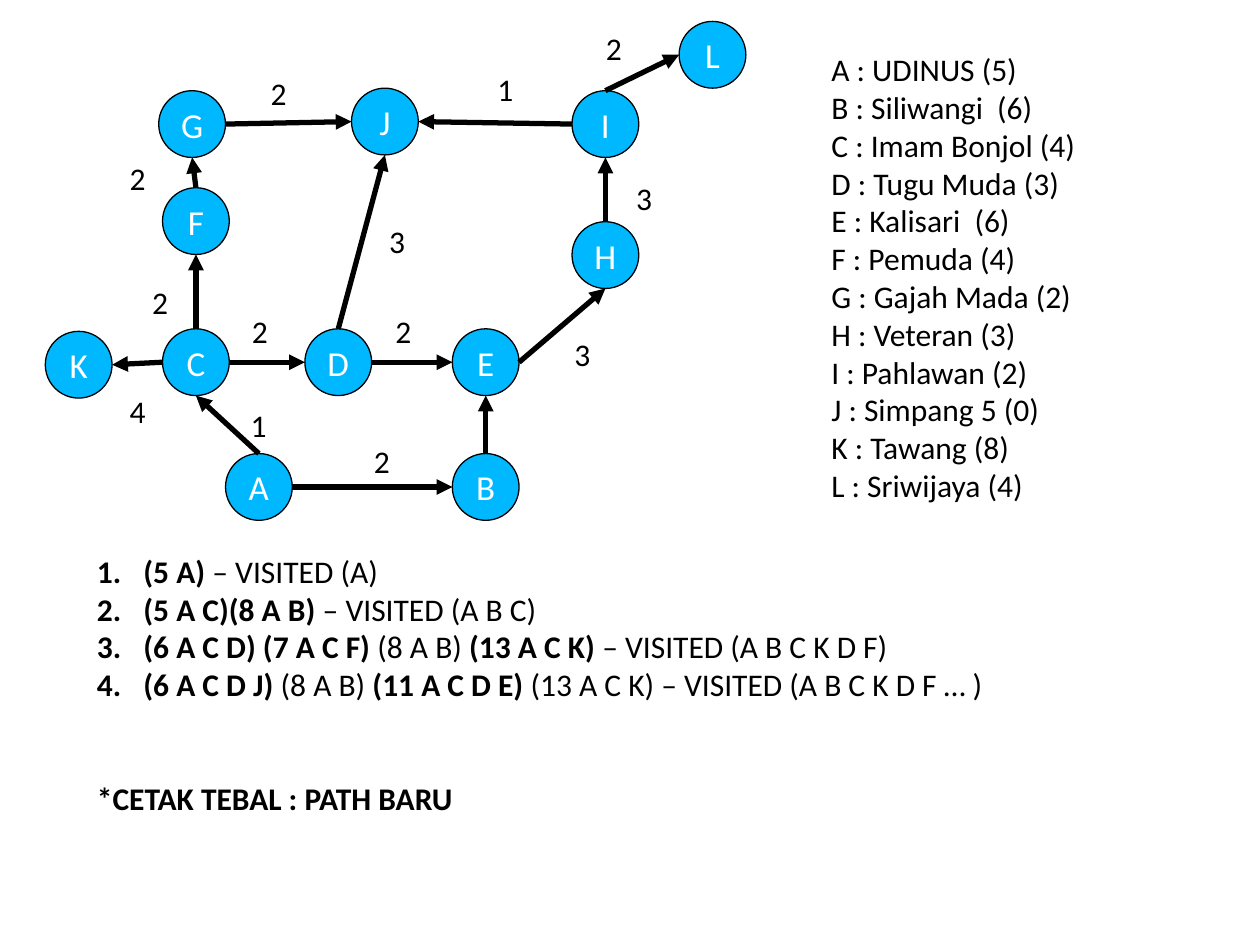
from dataclasses import dataclass

from lxml.etree import SubElement
from pptx import Presentation
from pptx.dml.color import RGBColor
from pptx.enum.shapes import MSO_CONNECTOR as Connector, MSO_SHAPE as Shape
from pptx.enum.text import MSO_ANCHOR as Anchor, MSO_AUTO_SIZE as AutoSize, PP_ALIGN as Align
from pptx.oxml.ns import qn
from pptx.util import Inches, Pt


@dataclass(frozen=True)
class Theme:
    """Hold the colours, font and sizes of the slide."""
    font: str = "Calibri"
    black: RGBColor = RGBColor(0, 0, 0)
    white: RGBColor = RGBColor(255, 255, 255)
    node: RGBColor = RGBColor(0, 0xB8, 0xFF)
    body: int = 18
    letter: int = 20
    outline: float = 0.75
    arrow: float = 3


THEME = Theme()
NODE_SIZE = 0.53
INDENT = 0.37

NODES = {
    "A": (1.79, 3.6), "B": (3.59, 3.6), "C": (1.29, 2.61), "D": (2.42, 2.61),
    "E": (3.59, 2.61), "F": (1.29, 1.49), "G": (1.26, 0.72), "H": (4.54, 1.76),
    "I": (4.54, 0.72), "J": (2.79, 0.7), "K": (0.36, 2.63), "L": (5.39, 0.17),
}
SIDES = {"top": (0.5, 0), "bottom": (0.5, 1), "left": (0, 0.5), "right": (1, 0.5)}
EDGES = [
    ("A", "right", "B", "left"), ("A", "top", "C", "bottom"),
    ("C", "right", "D", "left"), ("D", "right", "E", "left"),
    ("D", "top", "J", "bottom"), ("E", "right", "H", "bottom"),
    ("C", "top", "F", "bottom"), ("F", "top", "G", "bottom"),
    ("G", "right", "J", "left"), ("H", "top", "I", "bottom"),
    ("I", "left", "J", "right"), ("B", "top", "E", "bottom"),
    ("I", "top", "L", "left"), ("C", "left", "K", "right"),
]
WEIGHTS = [
    ("2", 2.87, 3.46), ("1", 1.89, 3.17), ("2", 1.9, 2.43), ("2", 3.04, 2.43),
    ("3", 4.46, 2.61), ("3", 4.95, 1.37), ("2", 4.71, 0.18), ("1", 3.85, 0.51),
    ("2", 2.05, 0.54), ("3", 2.99, 1.71), ("2", 0.93, 1.21), ("2", 1.11, 2.2),
    ("4", 0.93, 3.06),
]
LEGEND = [
    "A : UDINUS (5)", "B : Siliwangi  (6)", "C : Imam Bonjol (4)", "D : Tugu Muda (3)",
    "E : Kalisari  (6)", "F : Pemuda (4)", "G : Gajah Mada (2)", "H : Veteran (3)",
    "I : Pahlawan (2)", "J : Simpang 5 (0)", "K : Tawang (8)", "L : Sriwijaya (4)",
]
STEPS = [
    [("(5 A)", True), (" – VISITED (A)", False)],
    [("(5 A C)(8 A B) ", True), ("– VISITED (A B C)", False)],
    [("(6 A C D) (7 A C F) ", True), ("(8 A B) ", False), ("(13 A C K) ", True),
     ("– VISITED (A B C K D F)", False)],
    [("(6 A C D J) ", True), ("(8 A B) ", False), ("(11 A C D E) ", True),
     ("(13 A C K) – VISITED (A B C K D F … )", False)],
]


def add_span(para, text, *, size=THEME.body, color=THEME.black, bold=False):
    """Append formatted text to a paragraph."""
    span = para.add_run()
    span.text = text
    span.font.name = THEME.font
    span.font.size = Pt(size)
    span.font.color.rgb = color
    span.font.bold = bold


def next_para(frame, index):
    """Return the first paragraph, or a new one after it."""
    return frame.add_paragraph() if index else frame.paragraphs[0]


def add_box(page, left, top, width, height):
    """Add an unwrapped text box and return its frame."""
    frame = page.shapes.add_textbox(*map(Inches, (left, top, width, height))).text_frame
    frame.word_wrap = False
    frame.auto_size = AutoSize.SHAPE_TO_FIT_TEXT
    return frame


def add_lines(page, lines, left, top, width, height):
    """Add a text box with one plain paragraph per line."""
    frame = add_box(page, left, top, width, height)
    for index, line in enumerate(lines):
        add_span(next_para(frame, index), line)


def add_node(page, letter, left, top):
    """Add a lettered circle."""
    node = page.shapes.add_shape(
        Shape.OVAL, *map(Inches, (left, top, NODE_SIZE, NODE_SIZE)))
    node.shadow.inherit = False
    node.fill.solid()
    node.fill.fore_color.rgb = THEME.node
    node.line.color.rgb = THEME.black
    node.line.width = Pt(THEME.outline)
    node.text_frame.vertical_anchor = Anchor.MIDDLE
    para = node.text_frame.paragraphs[0]
    para.alignment = Align.CENTER
    add_span(para, letter, size=THEME.letter, color=THEME.white)


def side_point(letter, side):
    """Return the middle of one side of a node."""
    return [Inches(start + part * NODE_SIZE)
            for start, part in zip(NODES[letter], SIDES[side])]


def add_edge(page, source, source_side, target, target_side):
    """Add an arrow from one node to another."""
    edge = page.shapes.add_connector(
        Connector.STRAIGHT, *side_point(source, source_side), *side_point(target, target_side))
    edge.line.color.rgb = THEME.black
    edge.line.width = Pt(THEME.arrow)
    SubElement(edge.line._get_or_add_ln(), qn("a:tailEnd"), type="triangle")
    SubElement(edge._element.spPr, qn("a:effectLst"))


def set_indent(para, numbered):
    """Give a paragraph a hanging indent and, if asked, a number."""
    props = para._p.get_or_add_pPr()
    props.set("marL", str(Inches(INDENT)))
    props.set("indent", str(-Inches(INDENT)))
    if numbered:
        color = SubElement(props, qn("a:buClr"))
        SubElement(color, qn("a:srgbClr"), val=str(THEME.black))
        SubElement(props, qn("a:buFont"), typeface="+mj-lt")
        SubElement(props, qn("a:buAutoNum"), type="arabicPeriod")


def add_steps(page):
    """Add the numbered search steps and the footnote."""
    frame = add_box(page, 0.67, 4.33, 7.28, 2.22)
    for index, step in enumerate(STEPS):
        para = next_para(frame, index)
        set_indent(para, numbered=True)
        for text, bold in step:
            add_span(para, text, bold=bold)
    note = frame.add_paragraph()
    set_indent(note, numbered=False)
    note.space_before = Pt(43.5)
    add_span(note, "*CETAK TEBAL : PATH BARU", bold=True)


def main():
    """Build and save the slide."""
    deck = Presentation()
    deck.slide_width, deck.slide_height = Inches(10), Inches(7.5)
    page = deck.slides.add_slide(deck.slide_layouts[6])
    add_lines(page, LEGEND, 6.5, 0.35, 2.62, 3.7)
    for letter, (left, top) in NODES.items():
        add_node(page, letter, left, top)
    for edge in EDGES:
        add_edge(page, *edge)
    add_steps(page)
    for weight, left, top in WEIGHTS:
        add_lines(page, [weight], left, top, 0.36, 0.4)
    deck.save("out.pptx")


if __name__ == "__main__":
    main()
